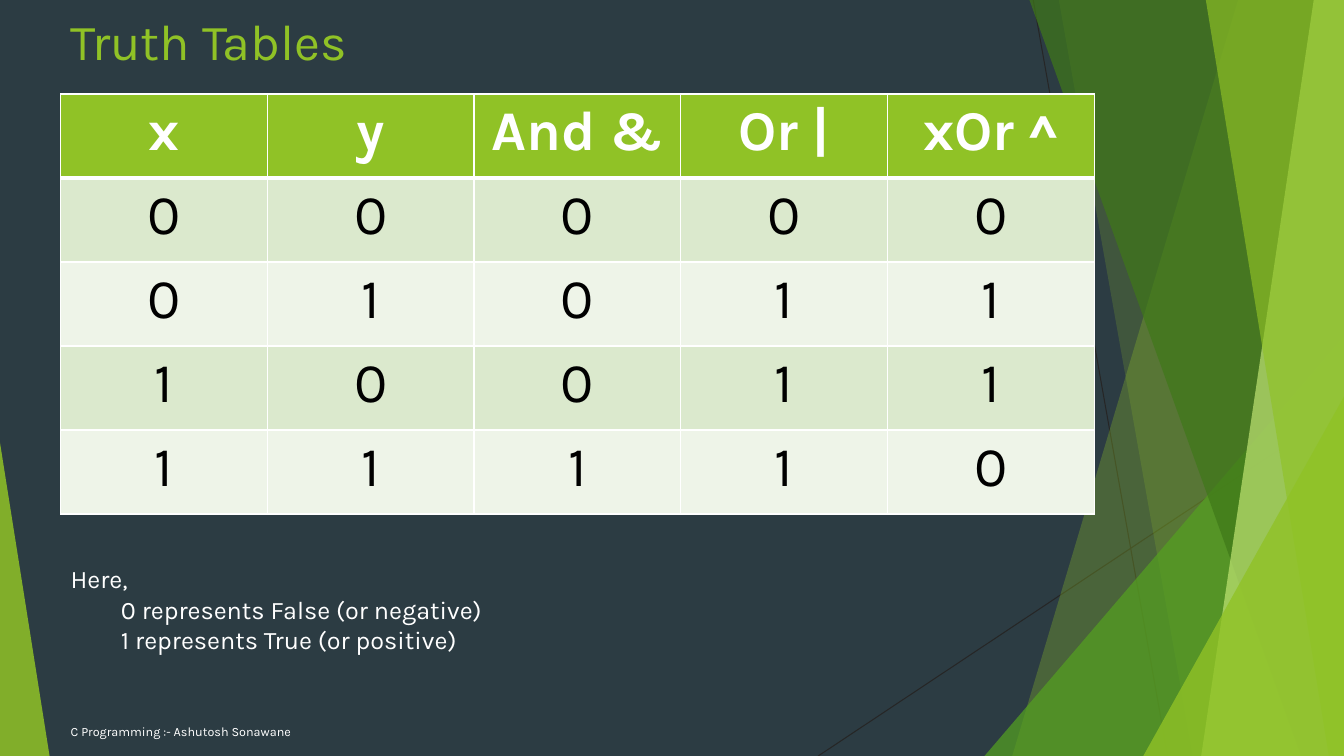
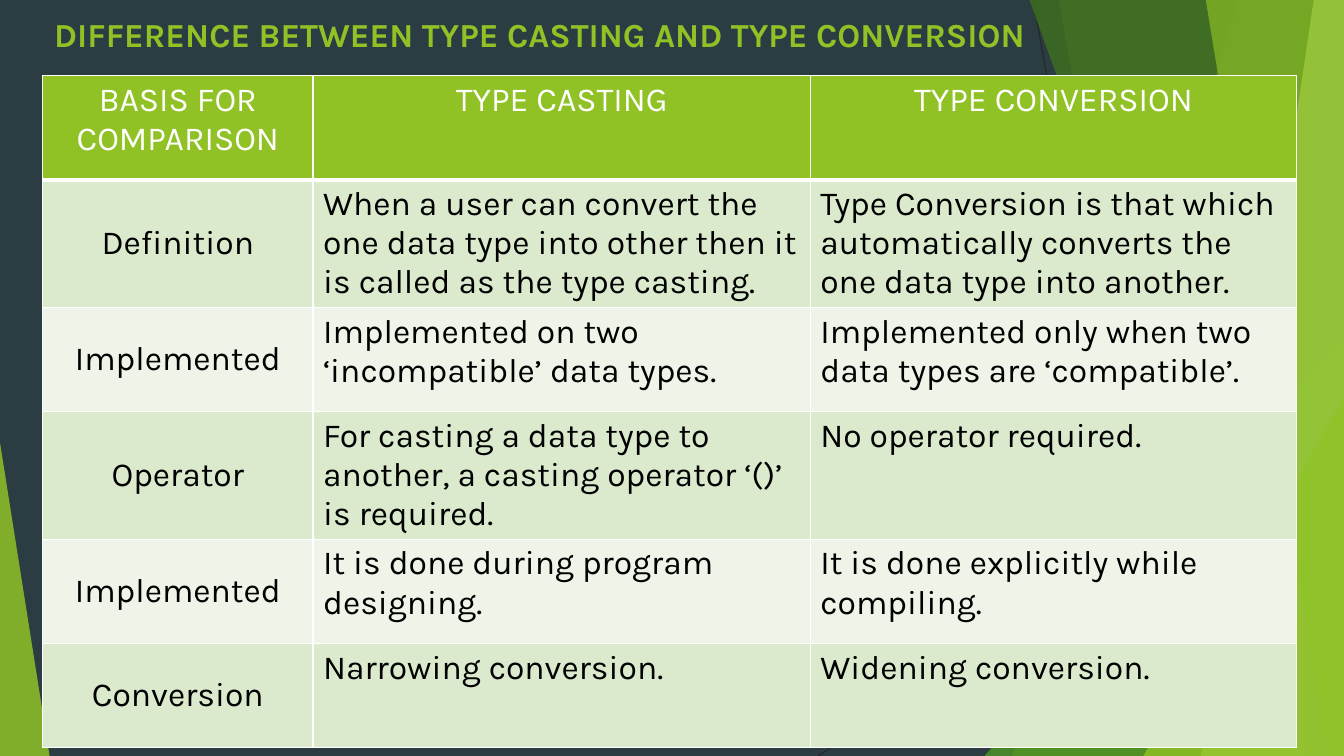
from lxml.etree import SubElement
from pptx import Presentation
from pptx.dml.color import RGBColor
from pptx.enum.shapes import MSO_CONNECTOR, MSO_SHAPE
from pptx.enum.text import MSO_ANCHOR, MSO_AUTO_SIZE, PP_ALIGN
from pptx.oxml.ns import qn
from pptx.util import Emu, Inches, Pt

COLORS = {
    "background": "2C3C43",
    "hairline": "262626",
    "lime": "90C226",
    "leaf": "54A021",
    "forest": "3F7819",
    "pale lime": "C0E474",
    "band dark": "DBE9CD",
    "band light": "EEF4E8",
    "white": "FFFFFF",
    "black": "000000",
}
FONT = "Karla"
COLUMNS, ROWS = 160, 90

presentation = Presentation()
presentation.slide_width = Inches(13.333)
presentation.slide_height = Inches(7.5)
CELL = presentation.slide_height / ROWS


def grid(*cells):
    """Turn counts of grid cells into lengths."""
    return [Emu(round(cell * CELL)) for cell in cells]


def add_run(paragraph, text, size, color, bold=False):
    run = paragraph.add_run()
    run.text = text
    run.font.name = FONT
    run.font.size = Pt(size)
    run.font.bold = bold
    run.font.color.rgb = RGBColor.from_string(COLORS[color])


# Content: every page has a title and a table
pages = [
    {
        "title": "Truth Tables",
        "title size": 36,
        "title bold": False,
        "title place": (7.2, 0.6),
        "table place": (7.22, 11.2),
        "columns": [24.61] * 5,
        "rows": [10] * 5,
        "text size": 40,
        "header bold": True,
        "centred columns": 5,
        "middle columns": 0,
        "cells": [
            ("x", "y", "And &", "Or |", "xOr ^"),
            *(
                (str(x), str(y), str(x & y), str(x | y), str(x ^ y))
                for x in (0, 1)
                for y in (0, 1)
            ),
        ],
    },
    {
        "title": "DIFFERENCE BETWEEN TYPE CASTING AND TYPE CONVERSION",
        "title size": 24,
        "title bold": True,
        "title place": (5.25, 1.1),
        "table place": (5.07, 9),
        "columns": [32.2, 59.2, 57.9],
        "rows": [12.4, 15.2, 12.4, 15.2, 12.4, 12.4],
        "text size": 24,
        "header bold": False,
        "centred columns": 1,
        "middle columns": 1,
        "cells": [
            ("BASIS FOR COMPARISON", "TYPE CASTING", "TYPE CONVERSION"),
            (
                "Definition",
                "When a user can convert the one data type into other then it "
                "is called as the type casting.",
                "Type Conversion is that which automatically converts the "
                "one data type into another.",
            ),
            (
                "Implemented",
                "Implemented on two ‘incompatible’ data types.",
                "Implemented only when two data types are ‘compatible’.",
            ),
            (
                "Operator",
                "For casting a data type to another, a casting operator ‘()’ "
                "is required.",
                "No operator required.",
            ),
            (
                "Implemented",
                "It is done during program designing.",
                "It is done explicitly while compiling.",
            ),
            ("Conversion", "Narrowing conversion.", "Widening conversion."),
        ],
    },
]

layout = presentation.slide_layouts.get_by_name("Title Only")
slides = [presentation.slides.add_slide(layout) for _ in pages]

# Shared backdrop: background, two hairlines and the overlapping facets
background = presentation.slide_master.background.fill
background.solid()
background.fore_color.rgb = RGBColor.from_string(COLORS["background"])

canvas = slides[0].shapes
backdrop = []
for ends in ((123, 0, 139, ROWS), (COLUMNS, 48.4, 97.4, ROWS)):
    hairline = canvas.add_connector(MSO_CONNECTOR.STRAIGHT, *grid(*ends))
    hairline.line.width = Pt(0.75)
    hairline.line.color.rgb = RGBColor.from_string(COLORS["hairline"])
    SubElement(hairline.element.find(qn("p:spPr")), qn("a:effectLst"))
    backdrop.append(hairline)

# A blade runs from (top x, bottom x) to the right edge of the slide;
# a triangle has (left, top, width, apex) and stands on the bottom edge.
facets = [
    ("blade", (147.4, 120.5), "lime", 30),
    ("blade", (126.05, 142), "lime", 20),
    ("triangle", (117.2, 40, 42.8, 1), "leaf", 72),
    ("blade", (122.55, 154.9), "forest", 70),
    ("blade", (156.4, 143), "pale lime", 70),
    ("blade", (143.55, 158.2), "lime", 65),
    ("triangle", (136.1, 47.2, 23.9, 1), "lime", 80),
    ("triangle", (0, 52.7, 5.9, 0), "lime", 85),
]
for kind, outline, color, opacity in facets:
    if kind == "blade":
        top_x, bottom_x = outline
        builder = canvas.build_freeform(*grid(top_x, 0))
        corners = ((COLUMNS, 0), (COLUMNS, ROWS), (bottom_x, ROWS))
        builder.add_line_segments([grid(*corner) for corner in corners])
        facet = builder.convert_to_shape()
    else:
        left, top, width, apex = outline
        facet = canvas.add_shape(
            MSO_SHAPE.ISOSCELES_TRIANGLE, *grid(left, top, width, ROWS - top)
        )
        facet.adjustments[0] = apex
    facet.shadow.inherit = False
    facet.line.fill.background()
    facet.fill.solid()
    facet.fill.fore_color.rgb = RGBColor.from_string(COLORS[color])
    fill_color = facet.element.find(".//" + qn("a:srgbClr"))
    SubElement(fill_color, qn("a:alpha"), val=str(opacity * 1000))
    backdrop.append(facet)

# Both slides inherit the backdrop from their layout
for number, shape in enumerate(backdrop, start=100):
    shape.element.find(".//" + qn("p:cNvPr")).set("id", str(number))
    layout.shapes.element.append(shape.element)

for slide, page in zip(slides, pages):
    title = slide.shapes.title
    title.left, title.top, title.width, title.height = grid(
        *page["title place"], 131.8, 10
    )
    title.text_frame.vertical_anchor = MSO_ANCHOR.TOP
    title.text_frame.auto_size = MSO_AUTO_SIZE.NONE
    paragraph = title.text_frame.paragraphs[0]
    paragraph.alignment = PP_ALIGN.LEFT
    add_run(paragraph, page["title"], page["title size"], "lime", page["title bold"])

    size = (sum(page["columns"]), sum(page["rows"]))
    table = slide.shapes.add_table(
        len(page["rows"]),
        len(page["columns"]),
        *grid(*page["table place"], *size),
    ).table
    for column, width in zip(table.columns, grid(*page["columns"])):
        column.width = width
    for row, height in zip(table.rows, grid(*page["rows"])):
        row.height = height

    for row_index, texts in enumerate(page["cells"]):
        is_header = row_index == 0
        band = "band dark" if row_index % 2 else "band light"
        widths = {
            "lnL": 1,
            "lnR": 1,
            "lnT": 3 if row_index == 1 else 1,
            "lnB": 3 if is_header else 1,
        }
        for column_index, text in enumerate(texts):
            cell = table.cell(row_index, column_index)
            properties = cell._tc.get_or_add_tcPr()
            for side, width in widths.items():
                border = SubElement(properties, qn(f"a:{side}"), w=str(Pt(width)))
                border_fill = SubElement(border, qn("a:solidFill"))
                SubElement(border_fill, qn("a:srgbClr"), val=COLORS["white"])
            cell.fill.solid()
            cell.fill.fore_color.rgb = RGBColor.from_string(
                COLORS["lime" if is_header else band]
            )
            if not is_header and column_index < page["middle columns"]:
                cell.vertical_anchor = MSO_ANCHOR.MIDDLE
            paragraph = cell.text_frame.paragraphs[0]
            if is_header or column_index < page["centred columns"]:
                paragraph.alignment = PP_ALIGN.CENTER
            add_run(
                paragraph,
                text,
                page["text size"],
                "white" if is_header else "black",
                is_header and page["header bold"],
            )

# Footer and legend under the truth table
footer = slides[0].shapes.add_textbox(*grid(7.22, 84.7, 82.7, 4.8)).text_frame
footer.word_wrap = True
footer.vertical_anchor = MSO_ANCHOR.MIDDLE
add_run(footer.paragraphs[0], "C Programming :- Ashutosh Sonawane", 9, "white")

legend = slides[0].shapes.add_textbox(*grid(7.22, 66.5, 77.8, 12.1)).text_frame
legend.word_wrap = True
add_run(legend.paragraphs[0], "Here,", 18, "white")
for meaning in ("0 represents False (or negative)", "1 represents True (or positive)"):
    paragraph = legend.add_paragraph()
    paragraph._p.get_or_add_pPr().set("marL", str(Inches(0.5)))
    add_run(paragraph, meaning, 18, "white")

presentation.save("out.pptx")
